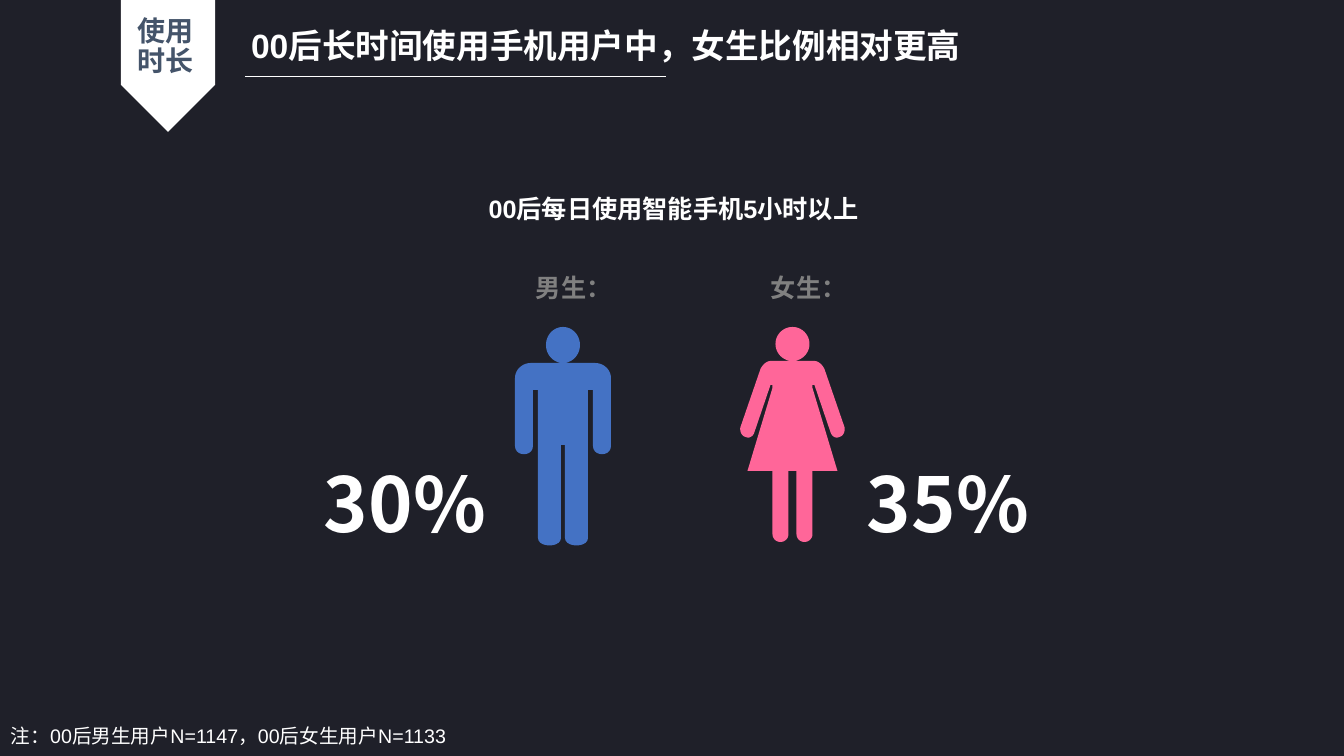
from math import cos, pi, sin

from lxml.etree import SubElement
from pptx import Presentation
from pptx.dml.color import RGBColor
from pptx.enum.shapes import MSO_CONNECTOR, MSO_SHAPE
from pptx.enum.text import MSO_ANCHOR, MSO_AUTO_SIZE, PP_ALIGN
from pptx.oxml.ns import qn
from pptx.util import Pt

SCALE = 914400 / 100.8
WHITE, GREY, SLATE = "FFFFFF", "808080", "44546A"
BLUE, PINK, NIGHT = "4472C4", "FF6699", "1F2029"
ARIAL, NOTO = "Arial", "Noto Sans CJK SC"

# Right half of each body, measured from its centre line: points and curves.
MAN = [(0, 363), (32, 363), (41, 363, 48, 370, 48, 378), (48, 446),
       (48, 457, 30, 457, 30, 446), (30, 390), (25, 390), (25, 538),
       (25, 548, 2, 548, 2, 538), (2, 445), (0, 445)]
WOMAN = [(0, 361), (22, 361), (26, 361, 30, 365, 32, 369), (52, 427),
         (53, 431, 51, 436, 47, 437), (43, 439, 39, 436, 38, 432),
         (22, 385), (20, 385), (20, 388), (45, 471), (20, 471), (20, 534),
         (20, 539, 16, 542, 12, 542), (8, 542, 4, 539, 4, 534),
         (4, 471), (0, 471)]


def emu(num):
    """Turn pixels into EMU."""
    return round(num * SCALE)


def paint(code):
    """Turn a hex string into a colour."""
    return RGBColor.from_string(code)


def bend(start, curve, steps=10):
    """List points along a cubic curve."""
    knots = [start, curve[:2], curve[2:4], curve[4:]]
    marks = []
    for step in range(1, steps + 1):
        t = step / steps
        parts = ((1 - t) ** 3, 3 * t * (1 - t) ** 2,
                 3 * t * t * (1 - t), t ** 3)
        marks.append(tuple(sum(w * k[i] for w, k in zip(parts, knots))
                           for i in (0, 1)))
    return marks


def trace(half):
    """Flatten the curves of a half body and mirror it."""
    side = []
    for item in half:
        side += [item] if len(item) == 2 else bend(side[-1], item)
    return side + [(-x, y) for x, y in reversed(side)]


def oval(wide, high, mid, count=48):
    """List points round a head."""
    turns = [2 * pi * n / count for n in range(count)]
    return [(wide * cos(a), mid + high * sin(a)) for a in turns]


class Deck:
    """Holds the style and the current slide."""

    def __init__(self, wide, high):
        """Open a title-only slide on a dark ground."""
        self.show = Presentation()
        self.show.slide_width, self.show.slide_height = emu(wide), emu(high)
        self.slide = self.show.slides.add_slide(self.show.slide_layouts[5])
        self.shapes = self.slide.shapes
        ground = self.slide.background.fill
        ground.solid()
        ground.fore_color.rgb = paint(NIGHT)

    def coat(self, shape, color):
        """Give a shape a plain fill."""
        shape.shadow.inherit = False
        shape.fill.solid()
        shape.fill.fore_color.rgb = paint(color)
        shape.line.fill.background()

    def tag(self, x, y, wide, high):
        """Draw an arrow tag that points down."""
        shape = self.shapes.add_shape(MSO_SHAPE.PENTAGON, emu(x), emu(y),
                                      emu(wide), emu(high))
        shape.rotation = 90
        self.coat(shape, WHITE)

    def rule(self, left, right, y):
        """Draw a thin level line."""
        line = self.shapes.add_connector(MSO_CONNECTOR.STRAIGHT, emu(left),
                                         emu(y), emu(right), emu(y))
        line.line.color.rgb = paint(WHITE)
        line.line.width = Pt(0.5)
        SubElement(line._element.spPr, qn("a:effectLst"))

    def person(self, mid, half, head, color):
        """Draw a body and a head as one outline."""
        body, face = [[(emu(mid + x), emu(y)) for x, y in ring]
                      for ring in (trace(half), oval(*head))]
        pen = self.shapes.build_freeform(*body[0], scale=1.0)
        pen.add_line_segments(body[1:])
        pen.move_to(*face[0])
        pen.add_line_segments(face[1:])
        self.coat(pen.convert_to_shape(), color)

    def letter(self, shape, words, size, color, font, bold, align):
        """Fill a frame with one run and return its paragraph."""
        frame = shape.text_frame
        frame.word_wrap = True
        frame.auto_size = MSO_AUTO_SIZE.NONE
        para = frame.paragraphs[0]
        para.alignment = align
        run = para.add_run()
        run.text = words
        run.font.size, run.font.bold, run.font.name = Pt(size), bold, font
        run.font.color.rgb = paint(color)
        SubElement(run.font._element, qn("a:ea"), typeface=font)
        return para

    def title(self, box, words):
        """Place and fill the title."""
        shape = self.shapes.title
        shape.left, shape.top, shape.width, shape.height = map(emu, box)
        shape.text_frame.vertical_anchor = MSO_ANCHOR.MIDDLE
        para = self.letter(shape, words, 24, WHITE, ARIAL, True,
                           PP_ALIGN.LEFT)
        para.line_spacing = 0.9

    def text(self, box, words, size, color=WHITE, font=ARIAL, bold=True,
             align=PP_ALIGN.LEFT):
        """Add a text box and return its paragraph."""
        shape = self.shapes.add_textbox(*map(emu, box))
        return self.letter(shape, words, size, color, font, bold, align)


deck = Deck(1344, 756)
deck.tag(102, 19, 132, 94)
deck.rule(245, 666, 76)
deck.title((241, 27, 745, 42), "00后长时间使用手机用户中，女生比例相对更高")
label = deck.text((125, 12, 82, 72), "使用时长", 20, SLATE,
                  align=PP_ALIGN.CENTER)
label.line_spacing = 0.9

deck.text((474, 188, 399, 40), "00后每日使用智能手机5小时以上", 18,
          align=PP_ALIGN.CENTER)
deck.person(792.5, WOMAN, (17, 17, 344), PINK)
deck.person(563, MAN, (17, 18, 345), BLUE)
for left, share in ((314, "30%"), (857, "35%")):
    deck.text((left, 452, 205, 102), share, 54, font=NOTO)
for left, name in ((526, "男生："), (761, "女生：")):
    deck.text((left, 267, 98, 40), name, 18, GREY, NOTO)
deck.text((1, 719, 563, 34), "注：00后男生用户N=1147，00后女生用户N=1133", 14,
          bold=False)
deck.show.save("out.pptx")
